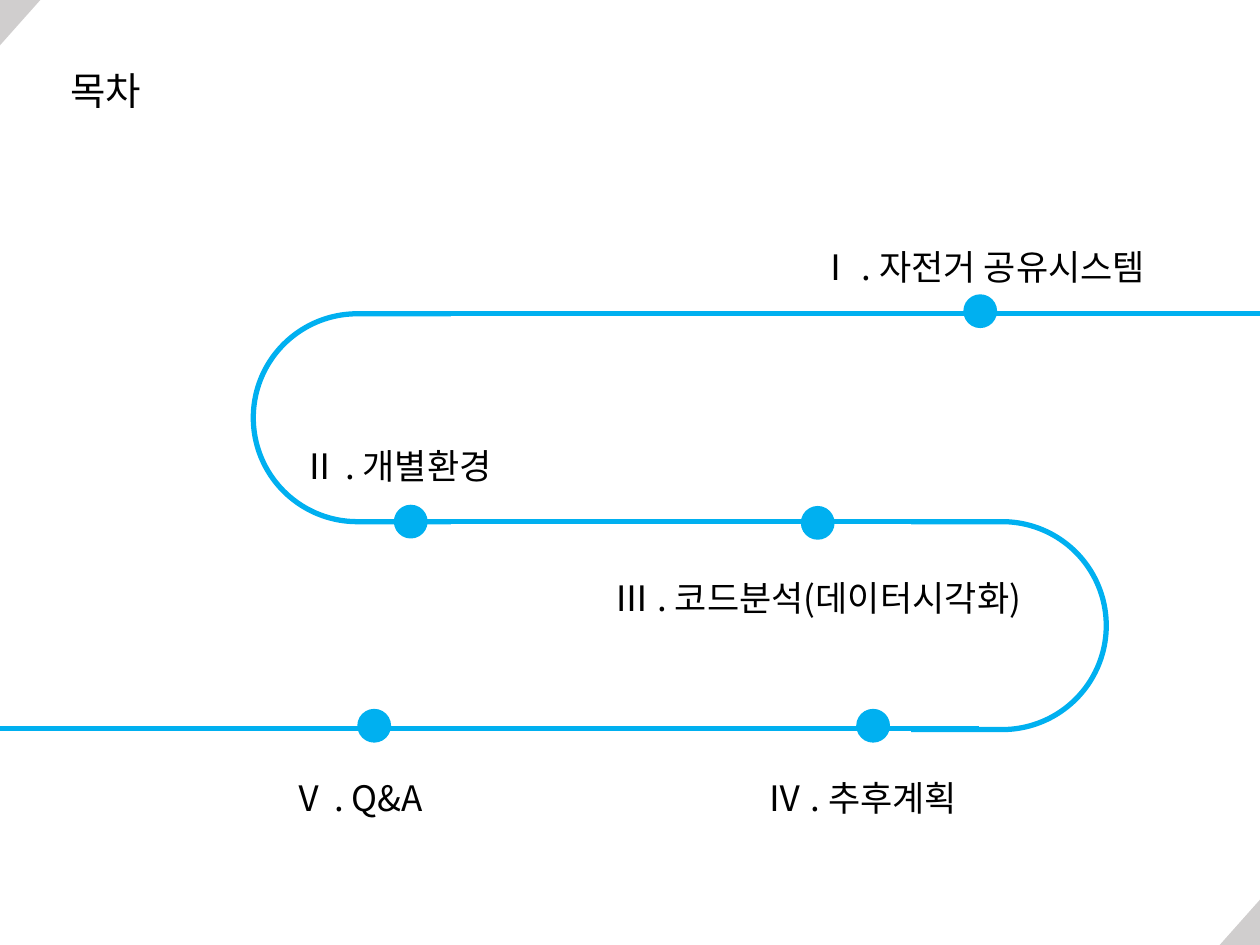
from lxml.etree import SubElement
from pptx import Presentation
from pptx.dml.color import RGBColor
from pptx.enum.shapes import MSO_CONNECTOR as Connector, MSO_SHAPE as Shape
from pptx.enum.text import MSO_ANCHOR as Anchor, MSO_AUTO_SIZE as AutoSize, PP_ALIGN as Align
from pptx.oxml.ns import qn
from pptx.util import Inches, Pt

FONT = "Noto Sans CJK KR"
BLUE, WHITE, GREY, BLACK = "00B0F0", "FFFFFF", "D0CECE", "000000"
BEND = 1.65
TOP, MIDDLE, BOTTOM = 2.49, 4.14, 5.78
DOT = 0.24


def color(value):
    return RGBColor.from_string(value)


def apply(target, formats):
    for name, value in formats.items():
        setattr(target, name, value)


def write(holder, words, size, align, wrap):
    frame = holder.text_frame
    apply(frame, {"word_wrap": wrap, "auto_size": AutoSize.NONE,
                  "vertical_anchor": Anchor.TOP})
    para = frame.paragraphs[0]
    apply(para, {"alignment": align, "line_spacing": 1.5})
    span = para.add_run()
    span.text = words
    apply(span.font, {"name": FONT, "size": Pt(size), "bold": False})
    span.font.color.rgb = color(BLACK)
    SubElement(span.font._element, qn("a:ea"), typeface=FONT)


def add_shape(page, kind, box, fill=None, line=None, width=0, rotation=0):
    shape = page.shapes.add_shape(kind, *map(Inches, box))
    apply(shape, {"rotation": rotation})
    shape.shadow.inherit = False
    if fill:
        shape.fill.solid()
        shape.fill.fore_color.rgb = color(fill)
    else:
        shape.fill.background()
    if line:
        shape.line.color.rgb = color(line)
        shape.line.width = Pt(width)
    else:
        shape.line.fill.background()


def add_rail(page, left, right, height):
    rail = page.shapes.add_connector(
        Connector.STRAIGHT, *map(Inches, (left, height, right, height)))
    rail.line.color.rgb = color(BLUE)
    rail.line.width = Pt(3)
    SubElement(rail._element.spPr, qn("a:effectLst"))


def add_corners(page):
    for left, top, rotation in ((-0.02, 0.02, 90), (9.66, 7.16, 270)):
        add_shape(page, Shape.RIGHT_TRIANGLE, (left, top, 0.36, 0.32),
                  fill=GREY, rotation=rotation)


def add_title(page, box):
    title = page.shapes.title
    apply(title, dict(zip(("left", "top", "width", "height"), map(Inches, box))))
    write(title, "목차", 22, Align.LEFT, False)


def add_road(page):
    for left, top, rotation in ((2.01, TOP, 180), (7.13, MIDDLE, 0)):
        add_shape(page, Shape.FLOWCHART_DELAY, (left, top, BEND, BEND),
                  line=BLUE, width=3, rotation=rotation)
    for left, top in ((3.58, TOP), (6.2, MIDDLE)):
        add_shape(page, Shape.RECTANGLE, (left, top - 0.03, 1.03, BEND + 0.06), fill=WHITE)
    for left, right, height in ((3.38, 10, TOP), (3.03, 7.69, MIDDLE), (0, 7.77, BOTTOM)):
        add_rail(page, left, right, height)


def add_stop(page, words, label_box, dot_left, dot_top):
    add_shape(page, Shape.OVAL, (dot_left, dot_top, DOT, DOT),
              fill=BLUE, line=BLUE, width=2)
    label = page.shapes.add_textbox(*map(Inches, label_box))
    write(label, words, 20, Align.CENTER, True)


def main():
    deck = Presentation()
    apply(deck, {"slide_width": Inches(10), "slide_height": Inches(7.5)})
    page = deck.slides.add_slide(deck.slide_layouts[5])
    add_corners(page)
    add_title(page, (0.46, 0.3, 0.81, 0.59))
    add_road(page)
    stops = (
        ("Ⅰ . 자전거 공유시스템", (6.26, 1.73, 3.07, 0.61), 7.66, 2.35),
        (" Ⅱ . 개별환경", (0.91, 3.31, 4.42, 0.61), 3.14, 4.02),
        ("Ⅲ . 코드분석(데이터시각화)", (4.6, 4.36, 3.78, 0.61), 6.37, 4.03),
        ("Ⅳ . 추후계획", (5.07, 5.95, 3.55, 0.54), 6.81, 5.64),
        ("Ⅴ . Q&A", (1.06, 5.95, 3.55, 0.61), 2.85, 5.64),
    )
    for stop in stops:
        add_stop(page, *stop)
    deck.save("out.pptx")


if __name__ == "__main__":
    main()
